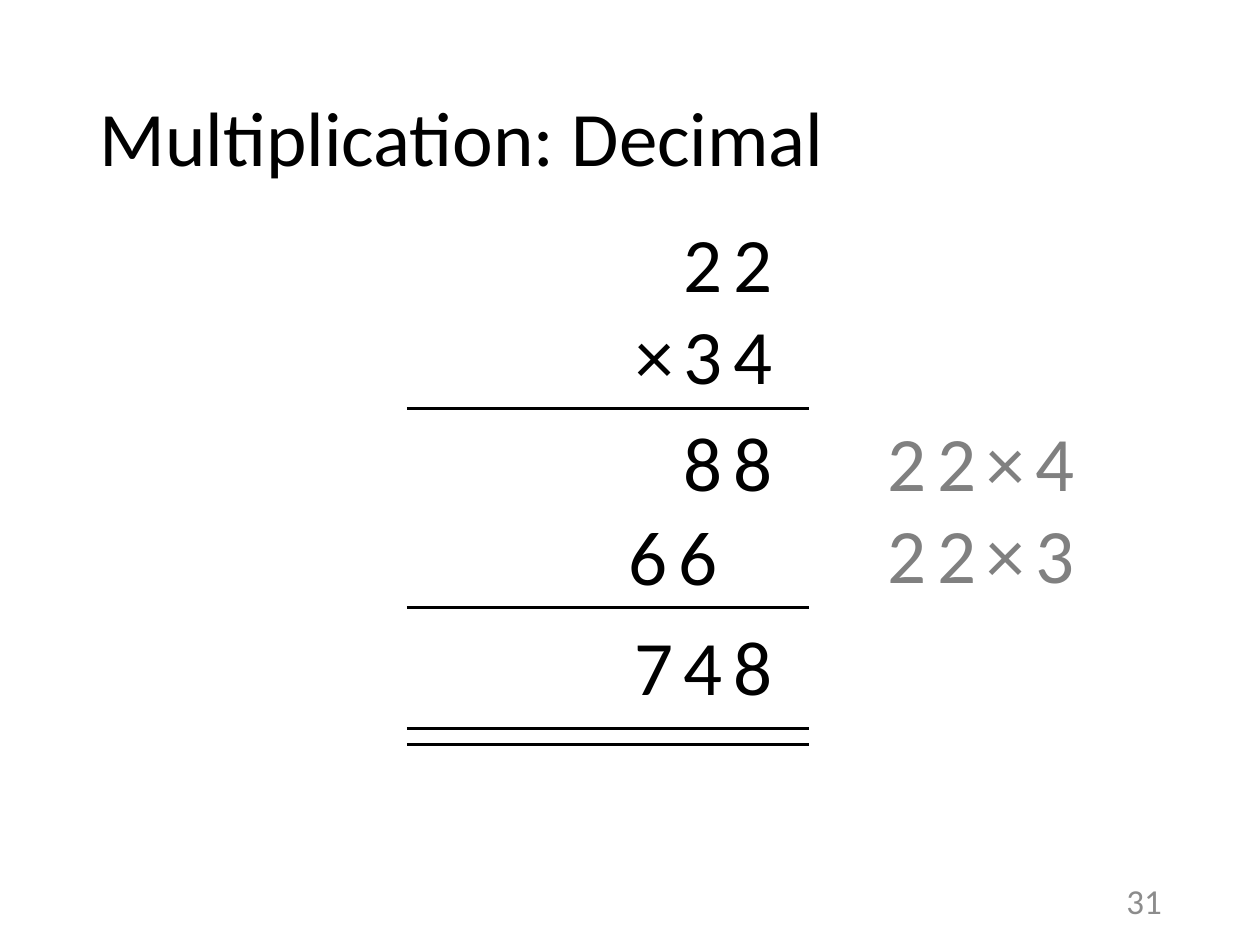
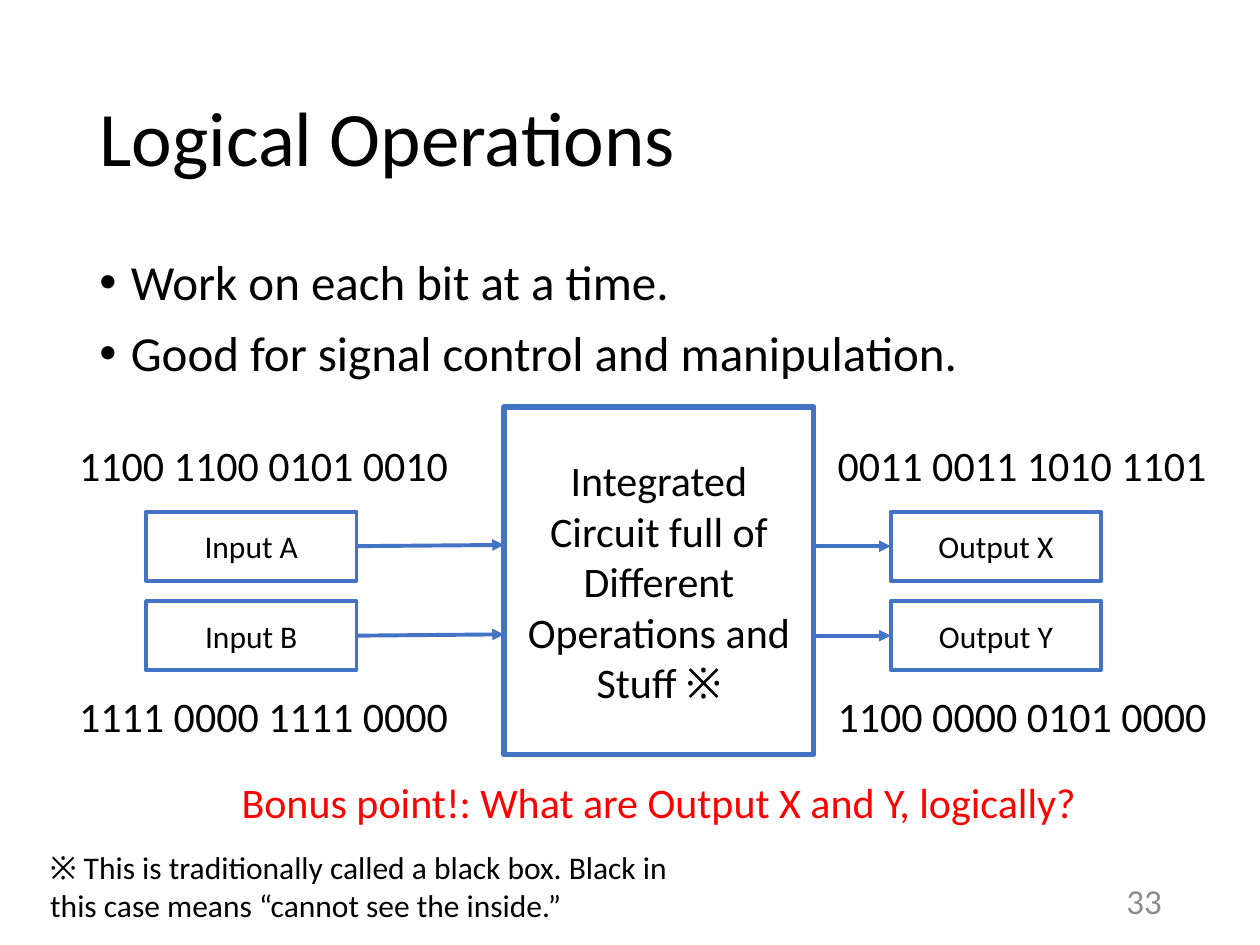
from lxml.etree import SubElement
from pptx import Presentation
from pptx.dml.color import RGBColor
from pptx.enum.shapes import MSO_CONNECTOR, MSO_SHAPE
from pptx.enum.text import MSO_ANCHOR, PP_ALIGN
from pptx.oxml.ns import qn
from pptx.util import Inches, Pt

BLACK = RGBColor(0x00, 0x00, 0x00)
WHITE = RGBColor(0xFF, 0xFF, 0xFF)
BLUE = RGBColor(0x44, 0x72, 0xC4)
RED = RGBColor(0xFF, 0x00, 0x00)
GREY = RGBColor(0x80, 0x80, 0x80)
FOOTER_GREY = RGBColor(0x8C, 0x8C, 0x8C)

FONT = "Calibri"
COLUMNS, ROWS = 100, 75
MARGIN, CONTENT_WIDTH = 6.9, 86.2


class Deck:
    """Holds the style and the current slide; all lengths are grid columns and rows."""

    def __init__(self):
        self.presentation = Presentation()
        self.presentation.slide_width = Inches(10)
        self.presentation.slide_height = Inches(7.5)
        self.column = self.presentation.slide_width / COLUMNS
        self.row = self.presentation.slide_height / ROWS
        self.slide = None

    def place(self, left, top, width, height):
        return (round(left * self.column), round(top * self.row),
                round(width * self.column), round(height * self.row))

    def add_slide(self, title, number):
        self.slide = self.presentation.slides.add_slide(self.presentation.slide_layouts[6])
        heading = self.text([title], (MARGIN, 4, CONTENT_WIDTH, 14.5), 44,
                            anchor=MSO_ANCHOR.MIDDLE)
        heading.text_frame.paragraphs[0].line_spacing = 0.9
        self.text([number], (86.5, 69.5, 6.7, 4), 20, FOOTER_GREY, PP_ALIGN.RIGHT,
                  MSO_ANCHOR.MIDDLE)

    def set_text(self, shape, lines, size, color, align, anchor, wrap, spacing=0):
        frame = shape.text_frame
        frame.text = "\n".join(lines)
        frame.word_wrap = wrap
        frame.vertical_anchor = anchor
        for paragraph in frame.paragraphs:
            paragraph.alignment = align
            for run in paragraph.runs:
                run.font.name = FONT
                run.font.size = Pt(size)
                run.font.color.rgb = color
                if spacing:
                    run._r.get_or_add_rPr().set("spc", str(spacing * 100))

    def text(self, lines, area, size, color=BLACK, align=PP_ALIGN.LEFT,
             anchor=MSO_ANCHOR.TOP, wrap=True, spacing=0):
        shape = self.slide.shapes.add_textbox(*self.place(*area))
        self.set_text(shape, lines, size, color, align, anchor, wrap, spacing)
        return shape

    def digits(self, lines, area, color=BLACK):
        """Widely spaced figures of a written calculation, aligned right."""
        self.text(lines, area, 44, color, PP_ALIGN.RIGHT, wrap=False, spacing=6)

    def bullets(self, lines, area):
        shape = self.text(lines, area, 28)
        for paragraph in shape.text_frame.paragraphs:
            paragraph.line_spacing = 0.9
            paragraph.space_before = Pt(10)
            properties = paragraph._p.get_or_add_pPr()
            properties.set("marL", str(Inches(0.25)))
            properties.set("indent", str(-Inches(0.25)))
            SubElement(properties, qn("a:buFont"), typeface="Arial")
            SubElement(properties, qn("a:buChar"), char="•")

    def box(self, label, area, size, line_width):
        shape = self.slide.shapes.add_shape(MSO_SHAPE.RECTANGLE, *self.place(*area))
        shape.shadow.inherit = False
        shape.fill.solid()
        shape.fill.fore_color.rgb = WHITE
        shape.line.color.rgb = BLUE
        shape.line.width = Pt(line_width)
        self.set_text(shape, [label], size, BLACK, PP_ALIGN.CENTER, MSO_ANCHOR.MIDDLE, True)

    def line(self, start, end, color=BLACK, width=1.5, arrow=False):
        connector = self.slide.shapes.add_connector(
            MSO_CONNECTOR.STRAIGHT, *self.place(*start, *end))
        connector.line.color.rgb = color
        connector.line.width = Pt(width)
        properties = connector._element.spPr
        if arrow:
            SubElement(properties.find(qn("a:ln")), qn("a:tailEnd"), type="triangle")
        SubElement(properties, qn("a:effectLst"))

    def arrow(self, start, end):
        self.line(start, end, BLUE, 2.25, arrow=True)


def add_multiplication(deck):
    deck.add_slide("Multiplication: Decimal", "31")
    right_edge, width, digit_shift, line_height = 62.3, 13.9, 4.4, 7.45
    left = right_edge - width
    partial_top = 32.4
    deck.digits(["22", "×34"], (left, 16.6, width, 15.8))
    deck.digits(["88"], (left, partial_top, width, 8.4))
    deck.digits(["66"], (left - digit_shift, partial_top + line_height, width, 8.4))
    deck.digits(["748"], (left, 48.6, width, 8.4))
    deck.digits(["22×4", "22×3"], (68.5, partial_top, 17.8, 15.8), GREY)
    for rule_row in (32.4, 48.2, 57.8, 59.1):
        deck.line((32.3, rule_row), (64.2, rule_row))


def add_logical_operations(deck):
    deck.add_slide("Logical Operations", "33")
    deck.bullets(["Work on each bit at a time.",
                  "Good for signal control and manipulation."],
                 (MARGIN, 20, CONTENT_WIDTH, 10.9))

    circuit_left, circuit_width = 40, 24.6
    circuit_right = circuit_left + circuit_width
    deck.box("Integrated Circuit full of Different Operations and Stuff ※",
             (circuit_left, 32.3, circuit_width, 27.6), 24, 3)

    input_left, output_left, port_width, port_height = 11.6, 70.7, 16.7, 5.5
    lanes = [
        (40.6, 34.4, "Input A", "1100 1100 0101 0010", "Output X", "0011 0011 1010 1101"),
        (47.7, 54.3, "Input B", "1111 0000 1111 0000", "Output Y", "1100 0000 0101 0000"),
    ]
    for port_top, bits_top, input_name, input_bits, output_name, output_bits in lanes:
        middle = port_top + port_height / 2
        deck.box(input_name, (input_left, port_top, port_width, port_height), 18, 2.25)
        deck.box(output_name, (output_left, port_top, port_width, port_height), 18, 2.25)
        deck.arrow((input_left + port_width, middle), (circuit_left, middle - 0.1))
        deck.arrow((circuit_right, middle), (output_left, middle))
        for bits, bits_left in ((input_bits, 5.3), (output_bits, 65.5)):
            deck.text([bits], (bits_left, bits_top, 31.5, 5), 24, wrap=False)

    deck.text(["Bonus point!: What are Output X and Y, logically?"],
              (17.5, 61.1, 69.6, 5), 24, RED, PP_ALIGN.CENTER, wrap=False)
    deck.text(["※ This is traditionally called a black box. Black in this case "
               "means “cannot see the inside.”"], (3, 66.8, 52.1, 7.1), 18)


def main():
    deck = Deck()
    add_multiplication(deck)
    add_logical_operations(deck)
    deck.presentation.save("out.pptx")


if __name__ == "__main__":
    main()
